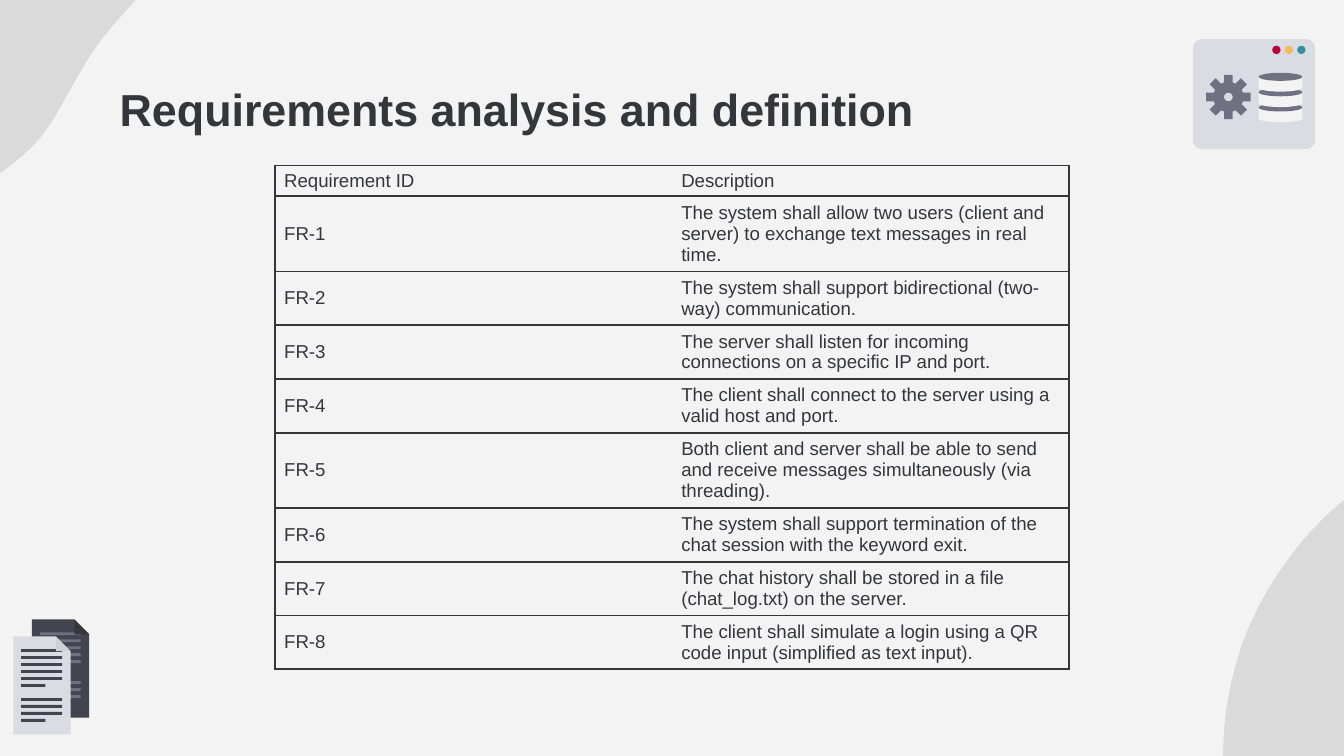
"""Build the requirements slide on a grid of 1000 columns by 562.5 rows."""
import math

import pptx
import pptx.dml.color
import pptx.enum.shapes
import pptx.enum.text
import pptx.oxml
import pptx.util
from pptx.oxml.ns import nsdecls, qn

RGBColor = pptx.dml.color.RGBColor
SHAPE = pptx.enum.shapes.MSO_SHAPE

BACKGROUND = RGBColor(0xF3, 0xF3, 0xF3)
INK = RGBColor(0x35, 0x36, 0x3B)
SLATE = RGBColor(0x42, 0x44, 0x4F)
GREY = RGBColor(0x6F, 0x70, 0x82)
PALE = RGBColor(0xD9, 0xDD, 0xE3)
FOLD = RGBColor(0xCE, 0xD0, 0xD6)
BLACK = RGBColor(0x00, 0x00, 0x00)
RED = RGBColor(0xBA, 0x00, 0x34)
YELLOW = RGBColor(0xF8, 0xB8, 0x5E)
TEAL = RGBColor(0x34, 0x90, 0x9D)

FONT = "Arial"
CELL = pptx.util.Inches(10) // 1000
COLUMNS, ROWS = 1000, 562.5
NO_STYLE = "{2D5ABB26-0587-4C30-8999-92F81FD0307C}"

LOWER_BLOB = [
    (1075, 348), (1093, 350), (1116, 357), (1137, 378), (1184, 424), (1202, 508), (1218, 575),
    (1234, 642), (1215, 707), (1173, 734), (1162, 740), (1153, 742), (1144, 741),
    (1117, 739), (1094, 711), (1053, 705), (1046, 704), (1040, 704), (1034, 703),
    (1027, 702), (1021, 702), (1015, 701), (987, 699), (971, 694), (940, 660),
    (899, 612), (900, 510), (944, 438), (987, 367), (1034, 352), (1034, 352),
    (1034, 352), (1051, 346), (1075, 348)]
UPPER_BLOB = [
    (-88, -23), (-80, -38), (-68, -54), (-51, -67), (-12, -98), (32, -99), (68, -101),
    (104, -104), (125, -79), (121, -42), (120, -33), (117, -25), (113, -18),
    (102, 2), (81, 16), (63, 47), (60, 52), (57, 57), (55, 61), (52, 66), (49, 71), (47, 75),
    (35, 97), (26, 109), (0, 128), (-37, 153), (-82, 136), (-97, 92),
    (-113, 47), (-101, 9), (-101, 9), (-101, 9), (-97, -6), (-88, -23)]

REQUIREMENTS = [
    "The system shall allow two users (client and server) to exchange text messages in real time.",
    "The system shall support bidirectional (two-way) communication.",
    "The server shall listen for incoming connections on a specific IP and port.",
    "The client shall connect to the server using a valid host and port.",
    "Both client and server shall be able to send and receive messages simultaneously "
    "(via threading).",
    "The system shall support termination of the chat session with the keyword exit.",
    "The chat history shall be stored in a file (chat_log.txt) on the server.",
    "The client shall simulate a login using a QR code input (simplified as text input)."]
ROW_HEIGHTS = [23, 56, 40, 40, 40, 56, 40, 40, 40]


def grid(*cells):
    return [pptx.util.Emu(round(cell * CELL)) for cell in cells]


def paint(shape, color):
    shape.shadow.inherit = False
    shape.fill.solid()
    shape.fill.fore_color.rgb = color
    shape.line.fill.background()
    return shape


def add_preset(shapes, kind, color, left, top, width, height):
    return paint(shapes.add_shape(kind, *grid(left, top, width, height)), color)


def add_outline(shapes, color, *contours):
    builder = None
    for contour in contours:
        points = [grid(*point) for point in contour]
        if builder is None:
            builder = shapes.build_freeform(*points[0])
        else:
            builder.move_to(*points[0])
        builder.add_line_segments(points[1:], close=True)
    return paint(builder.convert_to_shape(), color)


def turn(point, center, degrees):
    angle = math.radians(degrees)
    x, y = point[0] - center[0], point[1] - center[1]
    return (center[0] + x * math.cos(angle) - y * math.sin(angle),
            center[1] + x * math.sin(angle) + y * math.cos(angle))


def arc(center, radius_x, radius_y, start, end, steps=24):
    angles = [math.radians(start + (end - start) * step / steps) for step in range(steps + 1)]
    return [(center[0] + radius_x * math.cos(angle), center[1] + radius_y * math.sin(angle))
            for angle in angles]


def smooth_curve(nodes, steps=16):
    points = [nodes[0]]
    for index in range(0, len(nodes) - 1, 3):
        controls = nodes[index:index + 4]
        for step in range(1, steps + 1):
            t = step / steps
            weights = [(1 - t) ** 3, 3 * t * (1 - t) ** 2, 3 * t * t * (1 - t), t ** 3]
            points.append(tuple(sum(weight * control[axis]
                                    for weight, control in zip(weights, controls))
                                for axis in (0, 1)))
    return points


def add_blob(shapes, nodes, center, rotation):
    points = [turn(point, center, -rotation) for point in smooth_curve(nodes)]
    blob = add_outline(shapes, BLACK, points)
    blob.rotation = rotation
    color = blob.fill._xPr.find(qn("a:solidFill"))[0]
    color.append(pptx.oxml.parse_xml(f'<a:alpha {nsdecls("a")} val="10000"/>'))


def add_page(shapes, left, top, paper, fold, long_line, short_line):
    def place(*points):
        return [(left + x, top + y) for x, y in points]

    add_outline(shapes, paper, place((0, 0), (31.5, 0), (42.5, 11), (42.5, 73), (0, 73)))
    for line in (0, 1, 2, 3, 4, 5, 7, 8, 9, 10):
        is_short = line in (5, 10)
        add_preset(shapes, SHAPE.RECTANGLE, short_line if is_short else long_line,
                   left + 5.8, top + 9.5 + 5.2 * line, 18 if is_short else 30.5, 2.2)
    add_outline(shapes, fold, place((31.5, 0), (42.5, 11), (31.5, 11)))


def add_gear(shapes, center, outer, inner, half_tooth, hole):
    tooth = [(inner, -half_tooth), (outer, -half_tooth), (outer, half_tooth), (inner, half_tooth)]
    teeth = [turn((center[0] + x, center[1] + y), center, 45 * index)
             for index in range(8) for x, y in tooth]
    add_outline(shapes, GREY, teeth, arc(center, hole, hole, 360, 0))


def add_database(shapes, left, width, tops):
    for top in tops:
        body = [(left, top), (left + width, top)]
        body += arc((left + width / 2, top + 8), width / 2, 3, 0, 180)
        add_outline(shapes, BACKGROUND, body)
        add_preset(shapes, SHAPE.OVAL, GREY, left, top - 3, width, 6)


def add_window(shapes):
    window = add_preset(shapes, SHAPE.ROUNDED_RECTANGLE, PALE, 887.5, 29, 91, 82)
    window.adjustments[0] = 0.08
    for index, color in enumerate((TEAL, YELLOW, RED)):
        add_preset(shapes, SHAPE.OVAL, color, 965.2 - 9.3 * index, 34, 6.2, 6.2)
    add_gear(shapes, (914, 72.2), 16.5, 10.8, 3.2, 3.2)
    add_database(shapes, 936.5, 32.5, (80, 68.7, 57.2))


def format_text(frame, size, bold=False):
    frame.word_wrap = True
    for paragraph in frame.paragraphs:
        paragraph.alignment = pptx.enum.text.PP_ALIGN.LEFT
        for run in paragraph.runs:
            run.font.name, run.font.size, run.font.bold = FONT, pptx.util.Pt(size), bold
            run.font.color.rgb = INK


def set_title(slide, text):
    title = slide.shapes.title
    title.left, title.top, title.width, title.height = grid(79, 49, 843, 63)
    frame = title.text_frame
    frame.text = text
    frame.auto_size = pptx.enum.text.MSO_AUTO_SIZE.NONE
    frame.vertical_anchor = pptx.enum.text.MSO_ANCHOR.MIDDLE
    frame.margin_left = frame.margin_right = frame.margin_top = frame.margin_bottom = grid(10)[0]
    format_text(frame, 24, bold=True)
    slide.shapes._spTree.append(title._element)


def set_borders(cell, sides):
    properties = cell._tc.get_or_add_tcPr()
    for index, side in enumerate("LRTB"):
        fill = f'<a:solidFill><a:srgbClr val="{INK}"/></a:solidFill>'
        if side not in sides:
            fill = "<a:noFill/>"
        properties.insert(index, pptx.oxml.parse_xml(
            f'<a:ln{side} {nsdecls("a")} w="12700">{fill}</a:ln{side}>'))


def add_requirements(slide):
    rows = [("Requirement ID", "Description")]
    rows += [(f"FR-{number}", text) for number, text in enumerate(REQUIREMENTS, 1)]
    frame = slide.shapes.add_table(len(rows), 2, *grid(204.5, 123, 591, sum(ROW_HEIGHTS)))
    table = frame.table
    table.first_row = table.horz_banding = False
    table._tbl.tblPr.find(qn("a:tableStyleId")).text = NO_STYLE
    for row, height in zip(table.rows, ROW_HEIGHTS):
        row.height = grid(height)[0]
    for row_index, texts in enumerate(rows):
        for column_index, text in enumerate(texts):
            cell = table.cell(row_index, column_index)
            cell.text = text
            cell.vertical_anchor = pptx.enum.text.MSO_ANCHOR.MIDDLE
            cell.margin_left = cell.margin_right = grid(7)[0]
            cell.margin_top = cell.margin_bottom = grid(3.75)[0]
            cell.fill.solid()
            cell.fill.fore_color.rgb = BACKGROUND
            set_borders(cell, ("LTB", "RTB")[column_index])
            format_text(cell.text_frame, 10)


def main():
    presentation = pptx.Presentation()
    presentation.slide_width, presentation.slide_height = grid(COLUMNS, ROWS)
    slide = presentation.slides.add_slide(presentation.slide_layouts[5])
    slide.background.fill.solid()
    slide.background.fill.fore_color.rgb = BACKGROUND
    add_blob(slide.shapes, LOWER_BLOB, (1070.5, 541.5), 5.6)
    pages = slide.shapes.add_group_shape().shapes
    add_page(pages, 23.8, 461, SLATE, INK, GREY, SLATE)
    add_page(pages, 10, 473.5, PALE, FOLD, SLATE, SLATE)
    add_blob(slide.shapes, UPPER_BLOB, (-4, 8), 299)
    add_window(slide.shapes.add_group_shape().shapes)
    set_title(slide, "Requirements analysis and definition")
    add_requirements(slide)
    presentation.save("out.pptx")


if __name__ == "__main__":
    main()
